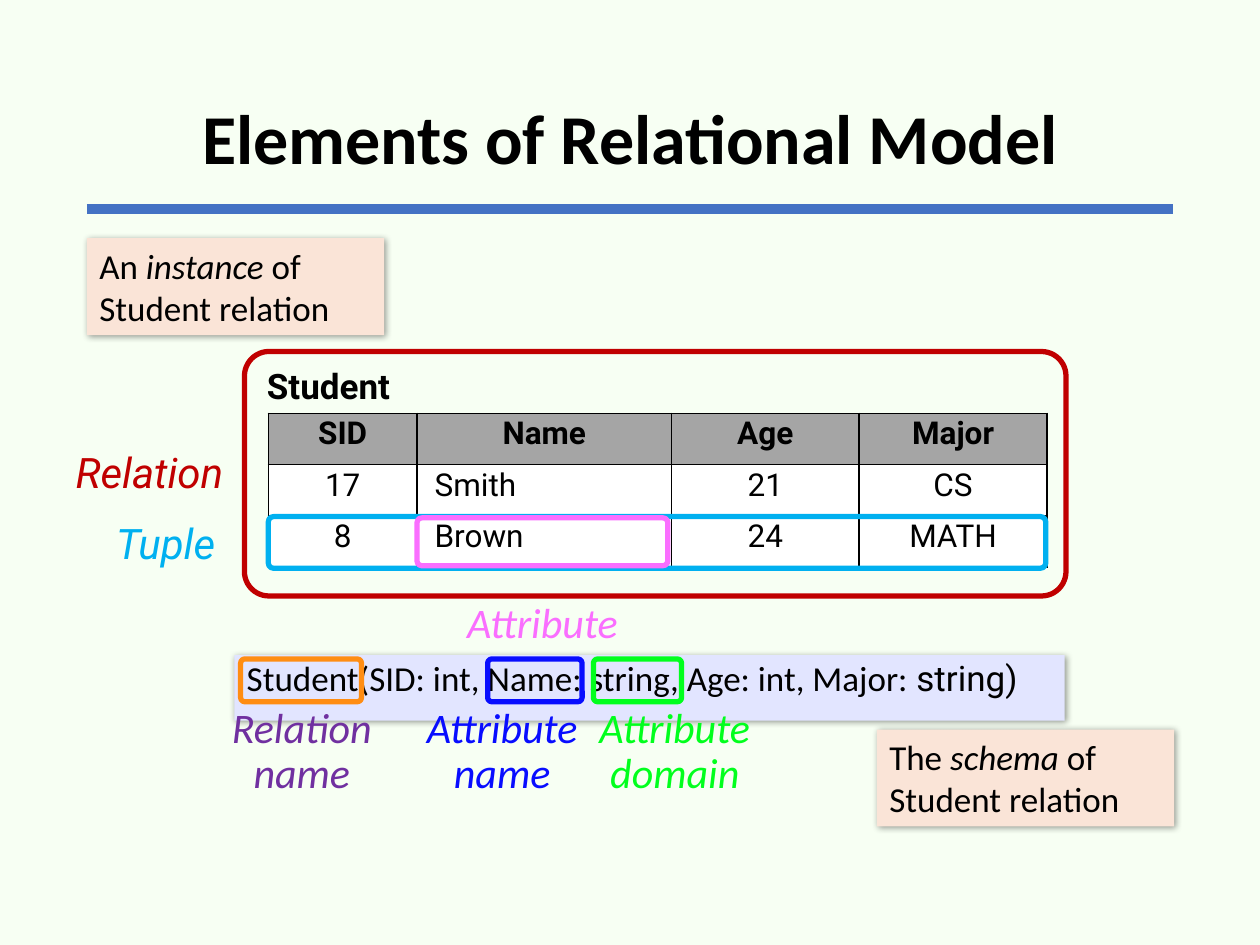
from dataclasses import dataclass
from typing import Any

import lxml.etree
import pptx
import pptx.dml.color
import pptx.enum.shapes
import pptx.enum.text
import pptx.oxml
import pptx.oxml.ns
import pptx.util

Inches = pptx.util.Inches
Pt = pptx.util.Pt
Align = pptx.enum.text.PP_ALIGN
Kind = pptx.enum.shapes.MSO_SHAPE
Box = tuple[float, float, float, float]


@dataclass(frozen=True)
class Theme:
    sans: str = "Calibri"
    alt: str = "Roboto"
    back: str = "F7FFF3"
    ink: str = "000000"
    rule: str = "4472C4"
    head: str = "A5A5A5"
    cell: str = "FFFFFF"
    note: str = "FAE4D7"
    band: str = "E2E5FF"
    red: str = "C00000"
    sky: str = "00B0F0"
    blue: str = "080DFF"
    green: str = "01FF1D"
    pink: str = "FA6EFF"
    amber: str = "FF8D13"
    plum: str = "7030A0"
    title: int = 40
    label: int = 24
    body: int = 20
    grid: int = 18


T = Theme()


@dataclass(frozen=True)
class Run:
    text: str
    italic: bool = False
    font: str = ""


@dataclass(frozen=True)
class Label:
    text: str
    box: Box
    color: str
    font: str = T.sans


@dataclass(frozen=True)
class Frame:
    box: Box
    color: str


@dataclass(frozen=True)
class Note:
    lead: str
    term: str
    left: float
    top: float


def rgb(code: str) -> pptx.dml.color.RGBColor:
    return pptx.dml.color.RGBColor.from_string(code)


def span(box: Box) -> list[pptx.util.Length]:
    return [Inches(n) for n in box]


def write(frame: Any, text: str | list[Run], *, size: int, font: str = T.sans,
          color: str = T.ink, bold: bool = False, italic: bool = False,
          align: Any = Align.LEFT, lines: float = 1.0,
          anchor: Any = pptx.enum.text.MSO_ANCHOR.TOP) -> None:
    frame.word_wrap = True
    frame.vertical_anchor = anchor
    para = frame.paragraphs[0]
    para.alignment = align
    para.line_spacing = lines
    for part in [Run(text, italic)] if isinstance(text, str) else text:
        run = para.add_run()
        run.text = part.text
        run.font.name = part.font or font
        run.font.size = Pt(size)
        run.font.bold = bold
        run.font.italic = part.italic
        run.font.color.rgb = rgb(color)


def put(slide: Any, box: Box, text: str, **form: Any) -> None:
    write(slide.shapes.add_textbox(*span(box)).text_frame, text, **form)


def tag(slide: Any, item: Label) -> None:
    put(slide, item.box, item.text, size=T.label, font=item.font,
        color=item.color, italic=True, align=Align.CENTER, lines=0.9)


def ring(slide: Any, item: Frame) -> None:
    """Draw an unfilled rounded outline."""
    shape = slide.shapes.add_shape(Kind.ROUNDED_RECTANGLE, *span(item.box))
    shape.adjustments[0] = 0.1
    shape.shadow.inherit = False
    shape.fill.background()
    shape.line.color.rgb = rgb(item.color)
    shape.line.width = Pt(3)


def panel(slide: Any, box: Box, fill: str, runs: list[Run], lines: float = 1.0) -> None:
    """Draw a filled box with a soft shadow."""
    shape = slide.shapes.add_shape(Kind.RECTANGLE, *span(box))
    shape.shadow.inherit = False
    shape.fill.solid()
    shape.fill.fore_color.rgb = rgb(fill)
    shape.line.fill.background()
    effects = shape._element.spPr.find(pptx.oxml.ns.qn("a:effectLst"))
    effects.append(pptx.oxml.parse_xml(
        f'<a:outerShdw {pptx.oxml.ns.nsdecls("a")} blurRad="{Pt(4)}" dist="{Pt(1)}" '
        f'dir="2700000" algn="tl" rotWithShape="0"><a:srgbClr val="{T.ink}">'
        '<a:alpha val="40000"/></a:srgbClr></a:outerShdw>'))
    write(shape.text_frame, runs, size=T.body, lines=lines)


def remark(slide: Any, item: Note) -> None:
    runs = [Run(item.lead), Run(item.term, True), Run("of Student relation")]
    panel(slide, (item.left, item.top, 2.36, 0.77), T.note, runs)


def border(cell: Any) -> None:
    props = cell._tc.get_or_add_tcPr()
    for spot, side in enumerate(("lnL", "lnR", "lnT", "lnB")):
        props.insert(spot, pptx.oxml.parse_xml(
            f'<a:{side} {pptx.oxml.ns.nsdecls("a")} w="{Pt(1)}"><a:solidFill>'
            f'<a:srgbClr val="{T.ink}"/></a:solidFill></a:{side}>'))


def grid(slide: Any, box: Box, wide: list[float], rows: list[list[str]]) -> None:
    table = slide.shapes.add_table(len(rows), len(wide), *span(box)).table
    table.first_row = table.horz_banding = False
    for col, width in zip(table.columns, wide):
        col.width = Inches(width)
    for r, row in enumerate(rows):
        for c, text in enumerate(row):
            cell = table.cell(r, c)
            name = r > 0 and c == 1
            cell.margin_right = cell.margin_top = cell.margin_bottom = Inches(0.02)
            cell.margin_left = Inches(0.14 if name else 0.02)
            cell.fill.solid()
            cell.fill.fore_color.rgb = rgb(T.cell if r else T.head)
            border(cell)
            write(cell.text_frame, text, size=T.grid, font=T.alt, bold=r == 0,
                  align=Align.LEFT if name else Align.CENTER)


def rule(slide: Any) -> None:
    line = slide.shapes.add_connector(
        pptx.enum.shapes.MSO_CONNECTOR.STRAIGHT, *span((0.69, 1.66, 9.31, 1.66)))
    line.line.color.rgb = rgb(T.rule)
    line.line.width = Pt(6)
    lxml.etree.SubElement(line._element.spPr, pptx.oxml.ns.qn("a:effectLst"))


def main() -> None:
    deck = pptx.Presentation()
    deck.slide_width, deck.slide_height = Inches(10), Inches(7.5)
    slide = deck.slides.add_slide(deck.slide_layouts[6])
    slide.background.fill.solid()
    slide.background.fill.fore_color.rgb = rgb(T.back)

    rule(slide)
    grid(slide, (2.13, 3.28, 6.18, 1.22), [1.18, 2.02, 1.49, 1.49], [
        ["SID", "Name", "Age", "Major"],
        ["17", "Smith", "21", "CS"],
        ["8", "Brown", "24", "MATH"]])
    put(slide, (2.02, 2.84, 1.89, 0.44), "Student", size=T.body, font=T.alt, bold=True)
    put(slide, (0.69, 0.4, 8.62, 1.45), "Elements of Relational Model", size=T.title,
        bold=True, align=Align.CENTER, lines=0.9,
        anchor=pptx.enum.text.MSO_ANCHOR.MIDDLE)
    panel(slide, (1.86, 5.2, 6.59, 0.52), T.band, [
        Run("Student(SID: int, Name: string, Age: int, Major: "),
        Run("string)", font=T.alt)], 0.9)

    for item in (Note("An ", "instance ", 0.69, 1.89), Note("The ", "schema ", 6.96, 5.79)):
        remark(slide, item)
    for item in (Frame((1.94, 2.79, 6.52, 1.94), T.red),
                 Frame((2.13, 4.1, 6.17, 0.41), T.sky),
                 Frame((3.31, 4.11, 1.99, 0.38), T.pink),
                 Frame((1.91, 5.23, 0.96, 0.34), T.amber),
                 Frame((3.87, 5.23, 0.75, 0.34), T.blue),
                 Frame((4.71, 5.23, 0.7, 0.34), T.green)):
        ring(slide, item)
    for item in (Label("Relation", (0.44, 3.54, 1.49, 0.45), T.red, T.alt),
                 Label("Tuple", (0.69, 4.1, 1.25, 0.45), T.sky, T.alt),
                 Label("Attribute", (3.55, 4.73, 1.51, 0.45), T.pink),
                 Label("Relation name", (1.64, 5.56, 1.51, 0.85), T.plum),
                 Label("Attribute name", (3.23, 5.56, 1.51, 0.85), T.blue),
                 Label("Attribute domain", (4.61, 5.56, 1.49, 0.85), T.green)):
        tag(slide, item)
    deck.save("out.pptx")


if __name__ == "__main__":
    main()
